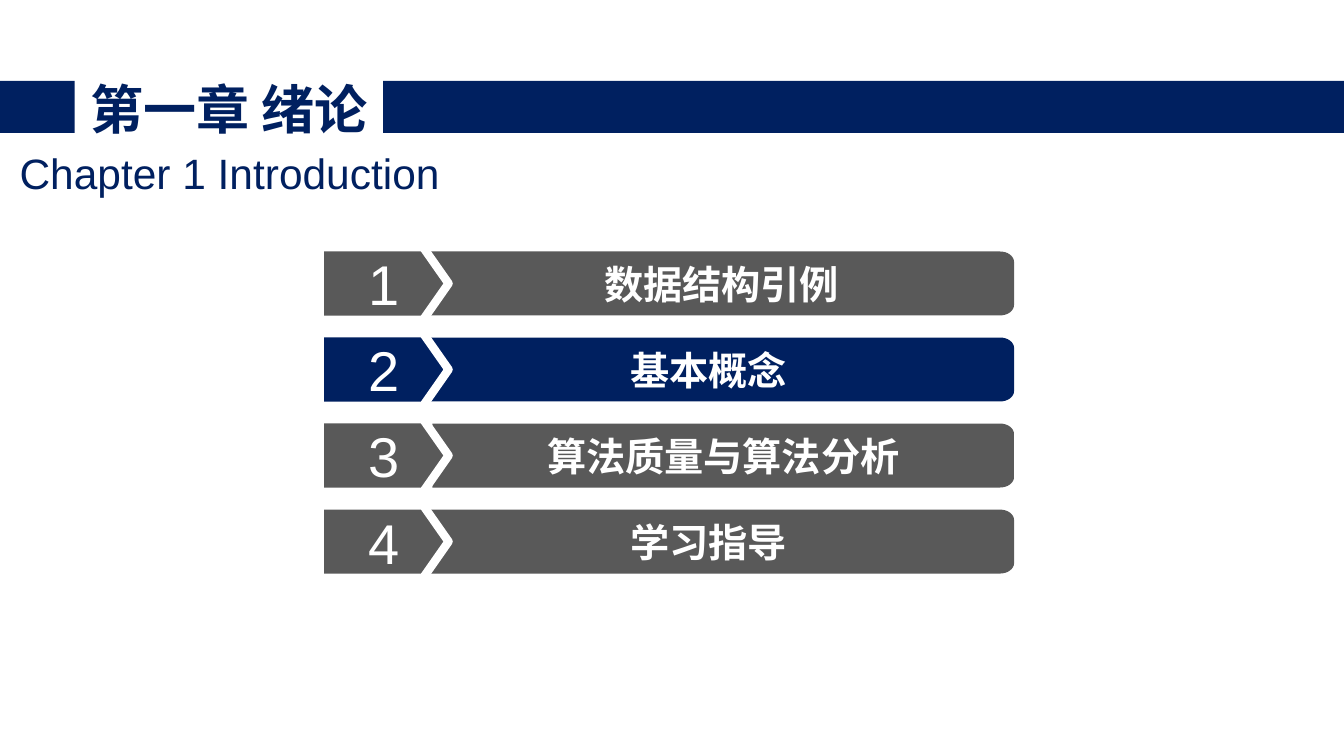
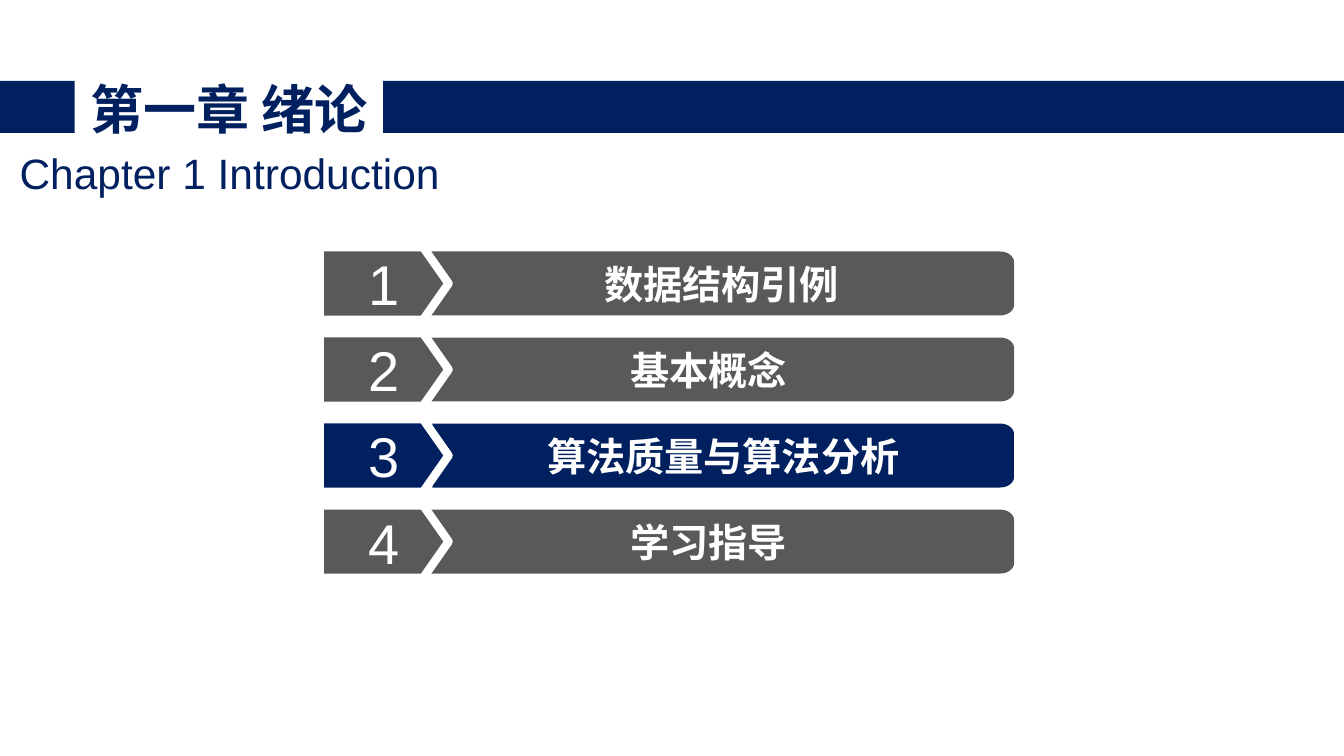
"""Build two chapter agenda slides, each highlighting its current section."""
from math import cos, pi, sin

from pptx import Presentation
from pptx.dml.color import RGBColor
from pptx.enum.shapes import MSO_SHAPE as SHAPE
from pptx.enum.text import MSO_ANCHOR as ANCHOR, MSO_AUTO_SIZE as AUTO_SIZE, PP_ALIGN as ALIGN
from pptx.util import Inches, Pt

COLORS = {"navy": "002060", "gray": "595959", "white": "FFFFFF"}
FONT = "Arial"
SECTIONS = [("数据结构引例", 31.95), ("基本概念", 30), ("算法质量与算法分析", 32.18), ("学习指导", 30)]
HEADINGS = [
    ("第一章 绪论", (6.23, 10, 21.68, 8.53), 37.9, True, ANCHOR.MIDDLE),
    ("Chapter 1 Introduction", (0.23, 19.47, 33.75, 6.8), 30.3, False, ANCHOR.TOP),
]
BANDS = [(0, 5.55), (28.5, 100)]
BAND_TOP, BAND_HEIGHT = 10.7, 6.9
FIRST_CENTER, PITCH = 37.5, 11.38
BAR_RIGHT, BAR_HEIGHT = 75.45, 8.46
CORNER_WIDTH, CORNER_HEIGHT, CORNER_STEPS = 1.05, 1.37, 8
TAG_LEFT, TAG_WIDTH, TAG_HEIGHT = 23.78, 9.6, 9.6

deck = Presentation()
deck.slide_width, deck.slide_height = Inches(13.33), Inches(7.5)
column, row = deck.slide_width / 100, deck.slide_height / 100


def write(shape, text, size, color, bold=False, anchor=ANCHOR.MIDDLE):
    """Fill a shape with one centred line of text."""
    frame = shape.text_frame
    frame.margin_left = frame.margin_top = frame.margin_right = frame.margin_bottom = 0
    frame.word_wrap, frame.auto_size, frame.vertical_anchor = True, AUTO_SIZE.NONE, anchor
    frame.text = text
    para = frame.paragraphs[0]
    para.alignment, para.space_before = ALIGN.CENTER, Pt(0)
    para.font.name, para.font.size, para.font.bold = FONT, Pt(size), bold
    para.font.color.rgb = RGBColor.from_string(COLORS[color])


def paint(shape, color):
    """Give a shape a flat fill without outline or shadow."""
    shape.shadow.inherit = False
    shape.fill.solid()
    shape.fill.fore_color.rgb = RGBColor.from_string(COLORS[color])
    shape.line.fill.background()


for current in (2, 3):
    page = deck.slides.add_slide(deck.slide_layouts[0])
    for box, (text, area, size, bold, anchor) in zip(page.placeholders, HEADINGS):
        left, top, width, height = area
        box.left, box.width = int(left * column), int(width * column)
        box.top, box.height = int(top * row), int(height * row)
        write(box, text, size, "navy", bold, anchor)

    for left, right in BANDS:
        band = page.shapes.add_shape(
            SHAPE.RECTANGLE, int(left * column), int(BAND_TOP * row),
            int((right - left) * column), int(BAND_HEIGHT * row))
        paint(band, "navy")

    for number, (section, left) in enumerate(SECTIONS, 1):
        color = "navy" if number == current else "gray"
        center = FIRST_CENTER + (number - 1) * PITCH
        top, bottom = center - BAR_HEIGHT / 2, center + BAR_HEIGHT / 2

        angles = [step * pi / 2 / CORNER_STEPS for step in range(CORNER_STEPS + 1)]
        curve = [(BAR_RIGHT - CORNER_WIDTH * (1 - sin(angle)), CORNER_HEIGHT * (1 - cos(angle)))
                 for angle in angles]
        outline = [(x, top + drop) for x, drop in curve]
        outline += [(x, bottom - drop) for x, drop in reversed(curve)]
        outline.append((left, bottom))
        builder = page.shapes.build_freeform(int(left * column), int(top * row))
        builder.add_line_segments([(int(x * column), int(y * row)) for x, y in outline])
        bar = builder.convert_to_shape()
        paint(bar, color)
        write(bar, section, 28, "white", bold=True)

        tag = page.shapes.add_shape(
            SHAPE.PENTAGON, int(TAG_LEFT * column), int((center - TAG_HEIGHT / 2) * row),
            int(TAG_WIDTH * column), int(TAG_HEIGHT * row))
        tag.adjustments[0] = 0.35
        paint(tag, color)
        tag.line.color.rgb = RGBColor.from_string(COLORS["white"])
        tag.line.width = Pt(6)
        write(tag, str(number), 40, "white")
        tag.text_frame.margin_left = int(column)

deck.save("out.pptx")
